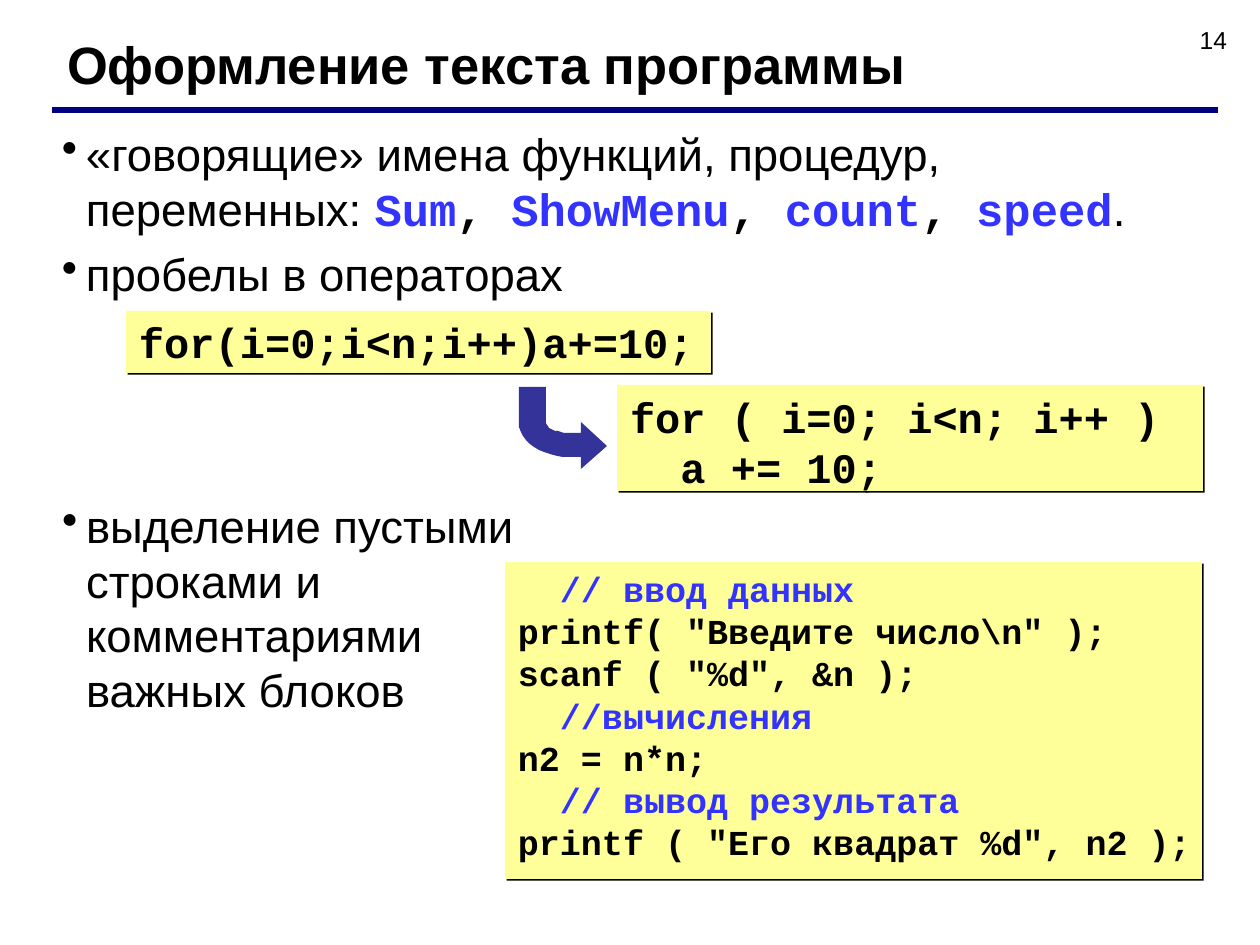
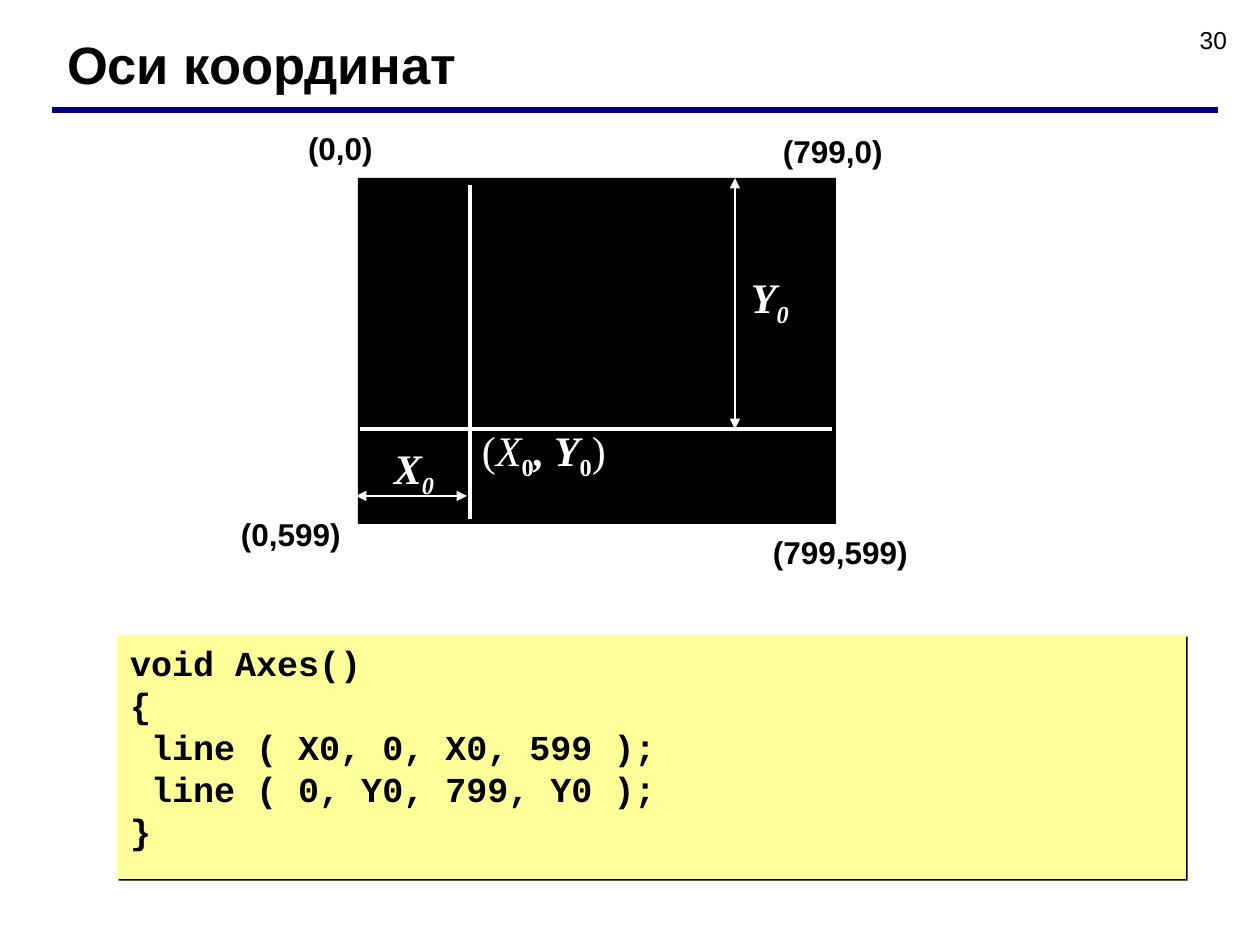
from lxml import etree
from pptx import Presentation
from pptx.dml.color import RGBColor
from pptx.enum.shapes import MSO_CONNECTOR, MSO_SHAPE
from pptx.enum.text import MSO_ANCHOR, PP_ALIGN
from pptx.oxml.ns import qn
from pptx.util import Pt

RECTANGLE = MSO_SHAPE.RECTANGLE
STRAIGHT = MSO_CONNECTOR.STRAIGHT
TOP = MSO_ANCHOR.TOP
LEFT, RIGHT = PP_ALIGN.LEFT, PP_ALIGN.RIGHT

PX = 7257  # EMU in one px, 126 px to the inch
BLACK, WHITE = "000000", "FFFFFF"
NAVY, INDIGO, BLUE, YELLOW = "000080", "333399", "3333FF", "FFFF99"
SANS, MONO, SERIF = "Arial", "Courier New", "Times New Roman"
INSET_X, INSET_Y = 13, 6
BULLET_INDENT = 24


def rgb(color):
    return RGBColor.from_string(color)


def add_text(slide, box, paragraphs, size=20, font=SANS, color=BLACK, bold=False,
             align=LEFT, bullet=False, space=0, fill=None):
    """Each paragraph is a string or a list of strings and (string, format) pairs."""
    left, top, width, height = [value * PX for value in box]
    if fill:
        shape = slide.shapes.add_shape(RECTANGLE, left, top, width, height)
        shape.fill.solid()
        shape.fill.fore_color.rgb = rgb(fill)
        shape.line.fill.background()
        shape.shadow.inherit = False
        effects = shape._element.spPr.find(qn("a:effectLst"))
        shadow = etree.SubElement(effects, qn("a:outerShdw"), dist="17780",
                                  dir="2700000", algn="ctr", rotWithShape="0")
        etree.SubElement(shadow, qn("a:srgbClr"), val=BLACK)
    else:
        shape = slide.shapes.add_textbox(left, top, width, height)
    frame = shape.text_frame
    frame.word_wrap = True
    frame.vertical_anchor = TOP
    frame.margin_left = INSET_X * PX
    frame.margin_right = 0 if fill else INSET_X * PX
    frame.margin_top = frame.margin_bottom = INSET_Y * PX
    for index, pieces in enumerate(paragraphs):
        paragraph = frame.paragraphs[0] if index == 0 else frame.add_paragraph()
        paragraph.alignment = align
        paragraph.line_spacing = 1.0
        if index:
            paragraph.space_before = Pt(space)
        if bullet:
            properties = paragraph._p.get_or_add_pPr()
            properties.set("marL", str(BULLET_INDENT * PX))
            properties.set("indent", str(-BULLET_INDENT * PX))
            etree.SubElement(properties, qn("a:buChar"), char="•")
        for piece in [pieces] if isinstance(pieces, str) else pieces:
            text, change = (piece, {}) if isinstance(piece, str) else piece
            run = paragraph.add_run()
            run.text = text
            run.font.size = Pt(size)
            run.font.name = change.get("font", font)
            run.font.bold = change.get("bold", bold)
            run.font.italic = change.get("italic", False)
            run.font.color.rgb = rgb(change.get("color", color))
            if change.get("subscript"):
                run._r.get_or_add_rPr().set("baseline", "-25000")


presentation = Presentation()
presentation.slide_width, presentation.slide_height = 1260 * PX, 945 * PX
blank_layout = presentation.slide_layouts[6]

# Shared header: page number and title; the rule is drawn with the other lines
slides = []
lines = []  # slide, start x, start y, end x, end y, colour, points, arrowheads
for number, title in [("14", "Оформление текста программы"), ("30", "Оси координат")]:
    slide = presentation.slides.add_slide(blank_layout)
    add_text(slide, (946, 19, 294, 66), [number], size=14, align=RIGHT)
    add_text(slide, (54, 26, 1121, 76), [title], size=30, bold=True)
    lines.append((slide, 52, 110, 1218, 110, NAVY, 3, False))
    slides.append(slide)
style_slide, axes_slide = slides

# Slide 1: advice
names = []
for name in ["Sum", "ShowMenu", "count", "speed"]:
    if names:
        names.append((", ", {"font": MONO, "bold": True}))
    names.append((name, {"font": MONO, "bold": True, "color": BLUE}))
add_text(style_slide, (49, 120, 1173, 190),
         [["«говорящие» имена функций, процедур, переменных: ", *names, "."],
          "пробелы в операторах"], size=26, bullet=True, space=6.5)
add_text(style_slide, (49, 492, 500, 231),
         ["выделение пустыми строками и комментариями важных блоков"],
         size=26, bullet=True)

# Slide 1: code samples
comment = {"color": BLUE}
code_boxes = [
    (style_slide, (126, 311, 585, 62), 24, ["for(i=0;i<n;i++)a+=10;"]),
    (style_slide, (617, 385, 586, 106), 24, ["for ( i=0; i<n; i++ )", "  a += 10;"]),
    (style_slide, (505, 562, 697, 317), 20, [
        [("  // ввод данных", comment)],
        'printf( "Введите число\\n" );',
        'scanf ( "%d", &n );',
        [("  //вычисления", comment)],
        "n2 = n*n;",
        [("  // вывод результата", comment)],
        'printf ( "Его квадрат %d", n2 );']),
    (axes_slide, (117, 635, 1069, 244), 20, [
        "void Axes()",
        "{",
        " line ( X0, 0, X0, 599 );",
        " line ( 0, Y0, 799, Y0 );",
        "}"]),
]
for slide, box, size, code in code_boxes:
    add_text(slide, box, code, size=size, font=MONO, bold=True, fill=YELLOW)

# Slide 1: bent arrow, its two bends sampled from cubic curves
outer_bend = [(570, 457), (542, 457), (519, 442), (519, 422)]
inner_bend = [(546, 422), (546, 428), (557, 433), (570, 433)]
bends = []
for curve in (outer_bend, inner_bend):
    points = []
    for step in range(13):
        t = step / 12
        weights = [(1 - t) ** 3, 3 * t * (1 - t) ** 2, 3 * t * t * (1 - t), t ** 3]
        points.append([sum(w * point[axis] for w, point in zip(weights, curve))
                       for axis in (0, 1)])
    bends.append(points)
builder = style_slide.shapes.build_freeform(607, 446, scale=PX)
builder.add_line_segments([(581, 469), (581, 457), *bends[0], (519, 387), (546, 387),
                           *bends[1], (581, 433), (581, 422)], close=True)
bent_arrow = builder.convert_to_shape()
bent_arrow.fill.solid()
bent_arrow.fill.fore_color.rgb = rgb(INDIGO)
bent_arrow.line.fill.background()
bent_arrow.shadow.inherit = False

# Slide 2: screen and its corner coordinates
screen = axes_slide.shapes.add_shape(RECTANGLE, 358 * PX, 178 * PX, 478 * PX, 346 * PX)
screen.fill.solid()
screen.fill.fore_color.rgb = rgb(BLACK)
screen.line.fill.background()
screen.shadow.inherit = False
for label, left, top, width in [("(0,0)", 295, 123, 95), ("(799,0)", 770, 126, 140),
                                ("(0,599)", 228, 509, 141), ("(799,599)", 760, 527, 175)]:
    add_text(axes_slide, (left, top, width, 50), [label], size=18, bold=True)

# Slide 2: axis labels
variable = {"bold": True, "italic": True}
index_format = {"bold": True, "subscript": True}
axis_labels = [
    ((469, 418, 173, 70), ["(", ("X", {"italic": True}), ("0", index_format),
                           (", Y", variable), ("0", index_format), ")"]),
    ((738, 265, 78, 70), [("Y", variable), ("0", {**variable, "subscript": True})]),
    ((381, 436, 76, 70), [("X", variable), ("0", {**variable, "subscript": True})]),
]
for box, pieces in axis_labels:
    add_text(axes_slide, box, [pieces], size=24, font=SERIF, color=WHITE)

# Slide 2: axes and dimension arrows
lines += [
    (axes_slide, 470, 519, 470, 185, WHITE, 2, False),
    (axes_slide, 360, 429, 832, 429, WHITE, 2, False),
    (axes_slide, 735, 429, 735, 178, WHITE, 1, True),
    (axes_slide, 467, 496, 356, 496, WHITE, 1, True),
]

# Every straight line
for slide, x1, y1, x2, y2, color, points, arrowheads in lines:
    line = slide.shapes.add_connector(STRAIGHT, x1 * PX, y1 * PX, x2 * PX, y2 * PX)
    line.line.color.rgb = rgb(color)
    line.line.width = Pt(points)
    if arrowheads:
        for end in ("a:headEnd", "a:tailEnd"):
            etree.SubElement(line.line._get_or_add_ln(), qn(end), type="triangle")
    etree.SubElement(line._element.spPr, qn("a:effectLst"))

presentation.save("out.pptx")
